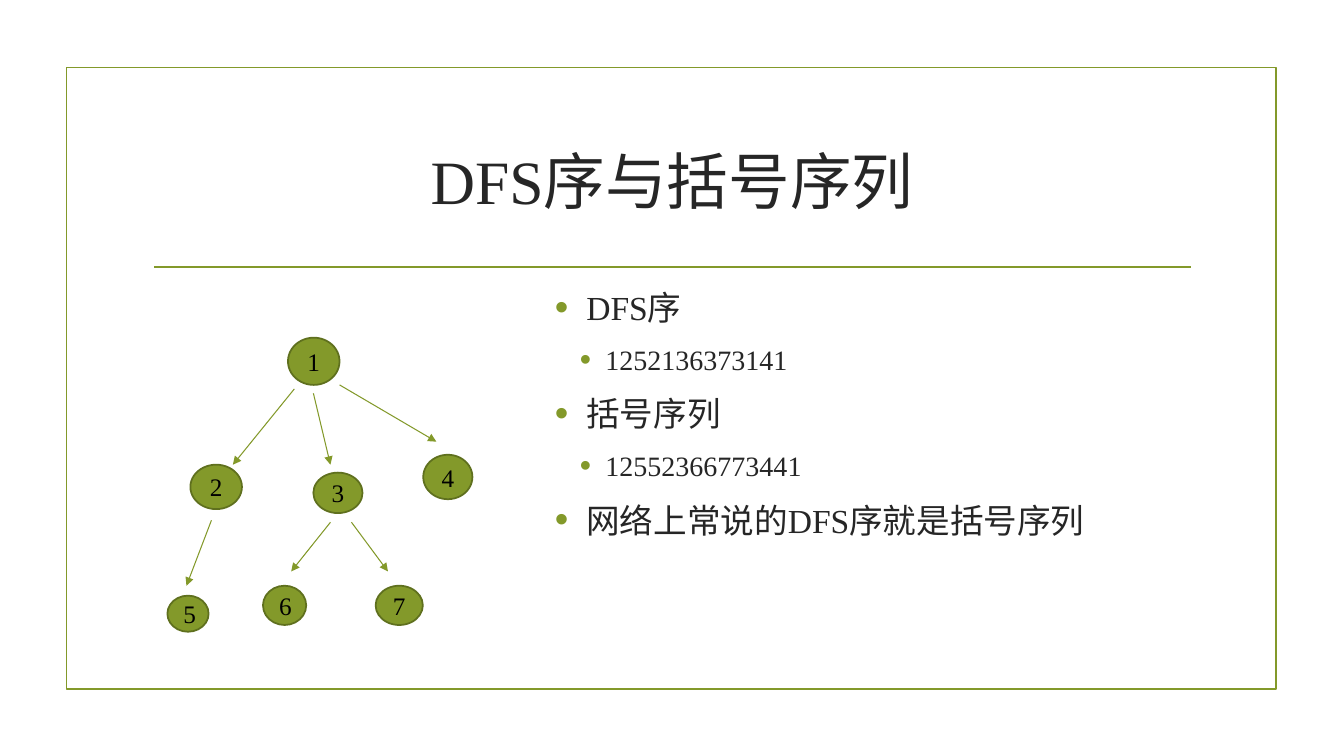
from lxml import etree
from pptx import Presentation
from pptx.dml.color import RGBColor
from pptx.enum.shapes import MSO_CONNECTOR, MSO_SHAPE
from pptx.enum.text import MSO_ANCHOR, PP_ALIGN
from pptx.oxml.ns import qn
from pptx.util import Cm, Pt

STRAIGHT = MSO_CONNECTOR.STRAIGHT
RECTANGLE, OVAL = MSO_SHAPE.RECTANGLE, MSO_SHAPE.OVAL
MIDDLE, CENTER = MSO_ANCHOR.MIDDLE, PP_ALIGN.CENTER

FONT = "Times New Roman"
COLORS = {"green": "83992A", "dark_green": "5F701E", "text": "262626", "label": "000000"}

# All lengths in cm
SLIDE_SIZE = (33.88, 19.05)
FRAME = (1.68, 1.70, 30.48, 15.67)
RULE = ((3.89, 6.73), (30.02, 6.73))

TITLE = "DFS序与括号序列"
TITLE_BOX = (3.61, 2.72, 26.67, 3.63)

OUTLINE_BOX = (13.74, 7.11, 16.54, 9.22)
OUTLINE = [
    (0, "DFS序"),
    (1, "1252136373141"),
    (0, "括号序列"),
    (1, "12552366773441"),
    (0, "网络上常说的DFS序就是括号序列"),
]
# Per level: font size, space before, left margin, hanging indent
LEVELS = [(24, 6, 0.79, 0.79), (20, 5, 1.27, 0.64)]

# Label: left, top, width, height
TREE_NODES = {
    "1": (7.26, 8.51, 1.30, 1.19),
    "2": (4.80, 11.71, 1.30, 1.12),
    "3": (7.90, 11.91, 1.24, 1.02),
    "4": (10.67, 11.46, 1.24, 1.12),
    "5": (4.22, 15.01, 1.04, 0.91),
    "6": (6.63, 14.76, 1.09, 0.99),
    "7": (9.47, 14.76, 1.19, 0.99),
}
# Arrows stop short of the nodes they relate
TREE_ARROWS = [
    ((7.42, 9.80), (5.87, 11.71)),
    ((7.90, 9.91), (8.33, 11.71)),
    ((8.56, 9.70), (11.00, 11.13)),
    ((5.33, 13.11), (4.70, 14.76)),
    ((8.33, 13.16), (7.34, 14.40)),
    ((8.86, 13.16), (9.78, 14.40)),
]


def cm(lengths):
    return [Cm(length) for length in lengths]


def rgb(name):
    return RGBColor.from_string(COLORS[name])


def style_font(font, size, color):
    font.name = FONT
    font.size = Pt(size)
    font.color.rgb = rgb(color)


def add_outlined(slide, kind, box, line_color, fill_color=None):
    shape = slide.shapes.add_shape(kind, *cm(box))
    shape.shadow.inherit = False
    if fill_color:
        shape.fill.solid()
        shape.fill.fore_color.rgb = rgb(fill_color)
    else:
        shape.fill.background()
    shape.line.color.rgb = rgb(line_color)
    shape.line.width = Pt(1.25)
    return shape


def add_line(slide, start, end, width, arrow=False):
    line = slide.shapes.add_connector(STRAIGHT, *cm(start + end))
    line.line.color.rgb = rgb("green")
    line.line.width = Pt(width)
    properties = line._element.spPr
    if arrow:
        etree.SubElement(properties.find(qn("a:ln")), qn("a:tailEnd"), type="triangle")
    etree.SubElement(properties, qn("a:effectLst"))


def add_centered_text(shape, text, size, color):
    frame = shape.text_frame
    frame.word_wrap = True
    frame.vertical_anchor = MIDDLE
    frame.text = text
    frame.paragraphs[0].alignment = CENTER
    style_font(frame.paragraphs[0].runs[0].font, size, color)


def add_bullet(paragraph, margin, hanging):
    properties = paragraph._p.get_or_add_pPr()
    properties.set("marL", str(Cm(margin)))
    properties.set("indent", str(-Cm(hanging)))
    color = etree.SubElement(properties, qn("a:buClr"))
    etree.SubElement(color, qn("a:srgbClr"), val=COLORS["green"])
    etree.SubElement(properties, qn("a:buSzPct"), val="115000")
    etree.SubElement(properties, qn("a:buFont"), typeface="Arial")
    etree.SubElement(properties, qn("a:buChar"), char="•")


def add_outline(slide):
    frame = slide.shapes.add_textbox(*cm(OUTLINE_BOX)).text_frame
    frame.word_wrap = True
    frame.text = "\n".join(text for _, text in OUTLINE)
    for index, (level, _) in enumerate(OUTLINE):
        size, before, margin, hanging = LEVELS[level]
        paragraph = frame.paragraphs[index]
        paragraph.level = level
        paragraph.space_before = Pt(before if index else 0)
        paragraph.space_after = Pt(6)
        add_bullet(paragraph, margin, hanging)
        style_font(paragraph.runs[0].font, size, "text")


def add_tree(slide):
    for label, box in TREE_NODES.items():
        node = add_outlined(slide, OVAL, box, "dark_green", "green")
        add_centered_text(node, label, 18, "label")
    for start, end in TREE_ARROWS:
        add_line(slide, start, end, 0.75, arrow=True)


def main():
    presentation = Presentation()
    presentation.slide_width, presentation.slide_height = cm(SLIDE_SIZE)
    slide = presentation.slides.add_slide(presentation.slide_layouts[6])
    add_outlined(slide, RECTANGLE, FRAME, "green")
    add_line(slide, *RULE, 1.25)
    add_centered_text(slide.shapes.add_textbox(*cm(TITLE_BOX)), TITLE, 44, "text")
    add_outline(slide)
    add_tree(slide)
    presentation.save("out.pptx")


if __name__ == "__main__":
    main()
